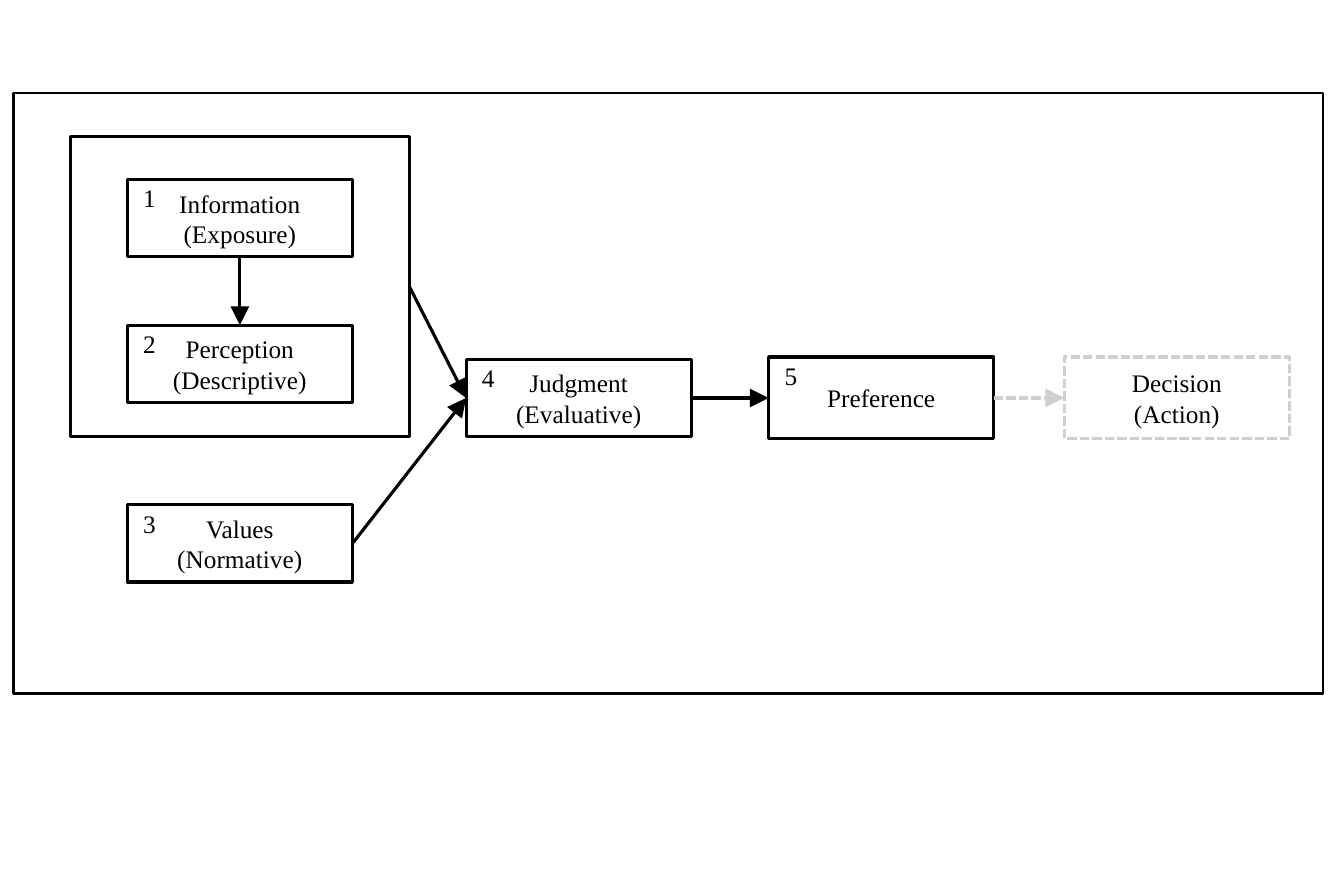
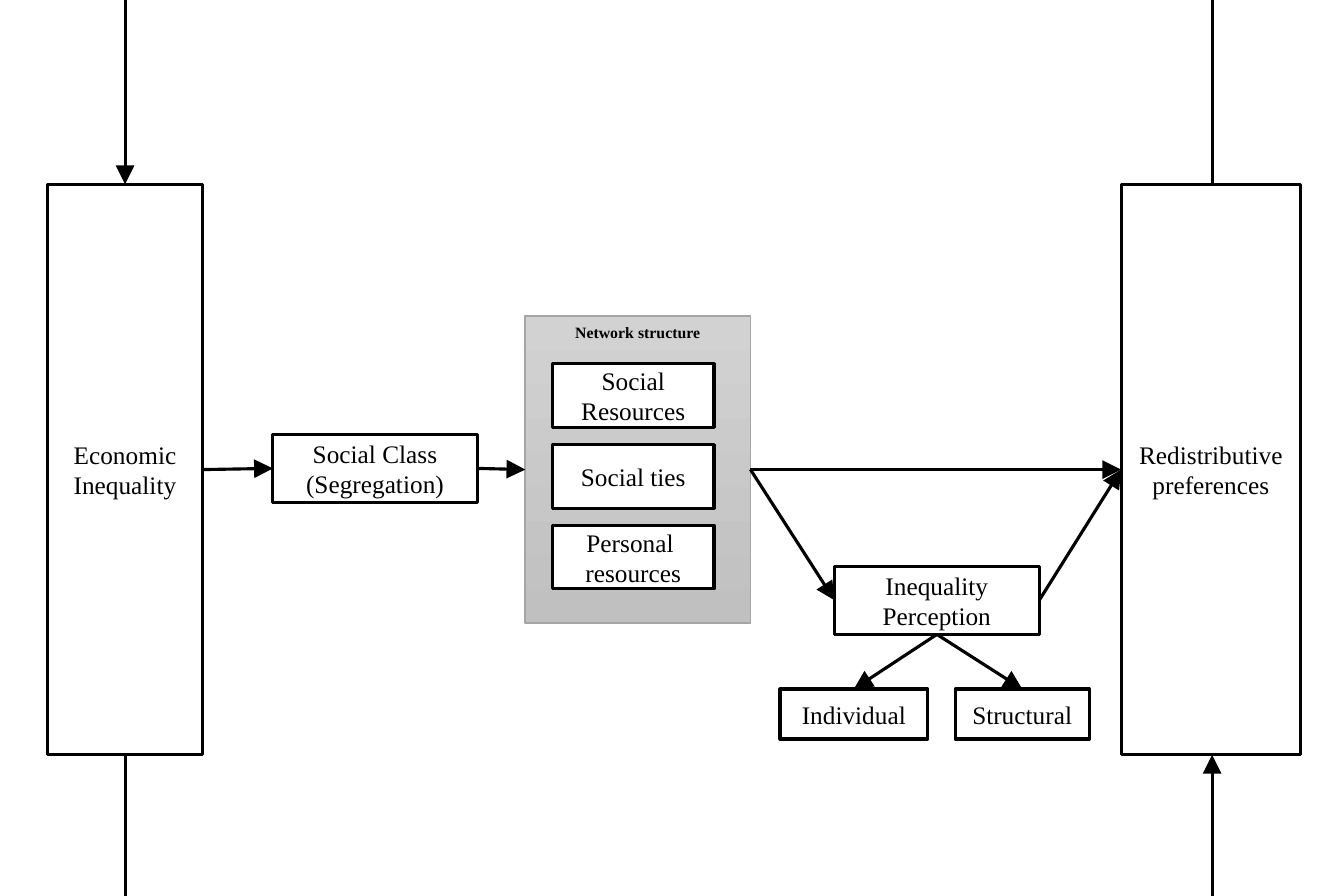
from lxml import etree
from pptx import Presentation
from pptx import util as u
from pptx.dml import color
from pptx.enum import dml, shapes, text
from pptx.oxml import ns

INK = {"black": "000000", "white": "FFFFFF", "pale": "D0CECE",
       "edge": "A5A5A5", "light": "D2D2D2", "dark": "C0C0C0"}
FONT = "Times New Roman"
WIDE, HIGH = 5.91, 3.94
TOP, LEFT, BASE, RIGHT = range(4)  # connection sites of a rectangle


def rgb(name):
    """Return a named colour."""
    return color.RGBColor.from_string(INK[name])


def stroke(line, ink="black", width=1, dash=False):
    """Style an outline or a connector."""
    line.color.rgb = rgb(ink)
    line.width = u.Pt(width)
    if dash:
        line.dash_style = dml.MSO_LINE.SQUARE_DOT


def write(shape, words, size=8, bold=False):
    """Put centred text into a shape, one paragraph a line."""
    frame = shape.text_frame
    frame.text = words
    frame.word_wrap = True
    frame.margin_left = frame.margin_right = u.Inches(0.06)
    frame.margin_top = frame.margin_bottom = u.Inches(0.03)
    frame.vertical_anchor = text.MSO_ANCHOR.MIDDLE
    for para in frame.paragraphs:
        para.alignment = text.PP_ALIGN.CENTER
        for run in para.runs:
            font = run.font
            font.name, font.size, font.bold = FONT, u.Pt(size), bold
            font.color.rgb = rgb("black")


def box(slide, at, words="", fill="white", ink="black", width=1, dash=False):
    """Draw a rectangle; fill or ink may be None."""
    shape = slide.shapes.add_shape(shapes.MSO_SHAPE.RECTANGLE,
                                   *(u.Inches(n) for n in at))
    shape.shadow.inherit = False
    if fill:
        shape.fill.solid()
        shape.fill.fore_color.rgb = rgb(fill)
    else:
        shape.fill.background()
    if ink:
        stroke(shape.line, ink, width, dash)
    else:
        shape.line.fill.background()
    if words:
        write(shape, words)
    return shape


def step(slide, at, words, mark):
    """Draw a box with a number in its top left corner."""
    shape = box(slide, at, words)
    box(slide, (at[0] + 0.01, at[1] + 0.02, 0.14, 0.12), mark, ink=None)
    return shape


def rule(slide, start, end, ink="black", dash=False, tip=True):
    """Draw a straight line, with an arrowhead at its end if tip is set."""
    line = slide.shapes.add_connector(
        shapes.MSO_CONNECTOR.STRAIGHT, *(u.Inches(n) for n in start + end))
    stroke(line.line, ink, dash=dash)
    if tip:
        etree.SubElement(line.line._get_or_add_ln(), ns.qn("a:tailEnd"),
                         type="triangle")
    etree.SubElement(line._element.spPr, ns.qn("a:effectLst"))
    return line


def link(slide, first, out, last, into, **style):
    """Join two shapes by an arrow between connection sites."""
    line = rule(slide, (0, 0), (1, 1), **style)
    line.begin_connect(first, out)
    line.end_connect(last, into)


def stages(slide):
    """Draw the path from information to decision."""
    box(slide, (0.06, 0.41, 5.76, 2.64), fill=None, width=0.75)
    group = box(slide, (0.31, 0.6, 1.49, 1.32), fill=None)
    size = (0.99, 0.34)
    info = step(slide, (0.56, 0.79) + size, "Information\n(Exposure)", "1")
    sense = step(slide, (0.56, 1.43) + size, "Perception\n(Descriptive)", "2")
    norm = step(slide, (0.56, 2.22) + size, "Values\n(Normative)", "3")
    judge = step(slide, (2.05, 1.58) + size, "Judgment\n(Evaluative)", "4")
    wish = step(slide, (3.38, 1.57, 0.99, 0.36), "Preference", "5")
    act = box(slide, (4.68, 1.57, 0.99, 0.36), "Decision\n(Action)",
              ink="pale", dash=True)
    link(slide, info, BASE, sense, TOP)
    for cause in (group, norm):
        link(slide, cause, RIGHT, judge, LEFT)
    link(slide, judge, RIGHT, wish, LEFT)
    link(slide, wish, RIGHT, act, LEFT, ink="pale", dash=True)


def network(slide, left, top):
    """Draw the shaded panel with its three parts."""
    panel = box(slide, (left, top, 0.99, 1.35), ink="edge", width=0.5)
    panel.fill.gradient()
    panel.fill.gradient_angle = 270
    for stop, name in zip(panel.fill.gradient_stops, ("light", "dark")):
        stop.color.rgb = rgb(name)
    write(panel, "Network structure", size=5, bold=True)
    panel.text_frame.vertical_anchor = text.MSO_ANCHOR.TOP
    parts = ("Social Resources", "Social ties", "Personal \nresources")
    for row, words in enumerate(parts):
        box(slide, (left + 0.12, top + 0.21 + row * 0.355, 0.71, 0.28), words)
    return panel


def model(slide):
    """Draw the path from inequality to preferences."""
    panel = network(slide, 2.31, 1.39)
    source = box(slide, (0.21, 0.81, 0.68, 2.51), "Economic Inequality")
    group = box(slide, (1.2, 1.91, 0.9, 0.3), "Social Class\n(Segregation)")
    goal = box(slide, (4.93, 0.81, 0.79, 2.51), "Redistributive\npreferences")
    view = box(slide, (3.67, 2.49, 0.9, 0.3), "Inequality Perception")
    single = box(slide, (3.43, 3.03, 0.65, 0.22), "Individual")
    whole = box(slide, (4.2, 3.03, 0.59, 0.22), "Structural")
    for first, last in ((source, group), (group, panel), (panel, goal),
                        (panel, view), (view, goal)):
        link(slide, first, RIGHT, last, LEFT)
    for kind in (single, whole):
        link(slide, view, BASE, kind, TOP)
    for x, down in ((0.55, True), (5.33, False)):
        rule(slide, (x, 0), (x, 0.81), tip=down)
        rule(slide, (x, HIGH), (x, 3.32), tip=not down)


def main():
    """Build and save the deck."""
    deck = Presentation()
    deck.slide_width, deck.slide_height = u.Inches(WIDE), u.Inches(HIGH)
    for draw in (stages, model):
        draw(deck.slides.add_slide(deck.slide_layouts[6]))
    deck.save("out.pptx")


main()
